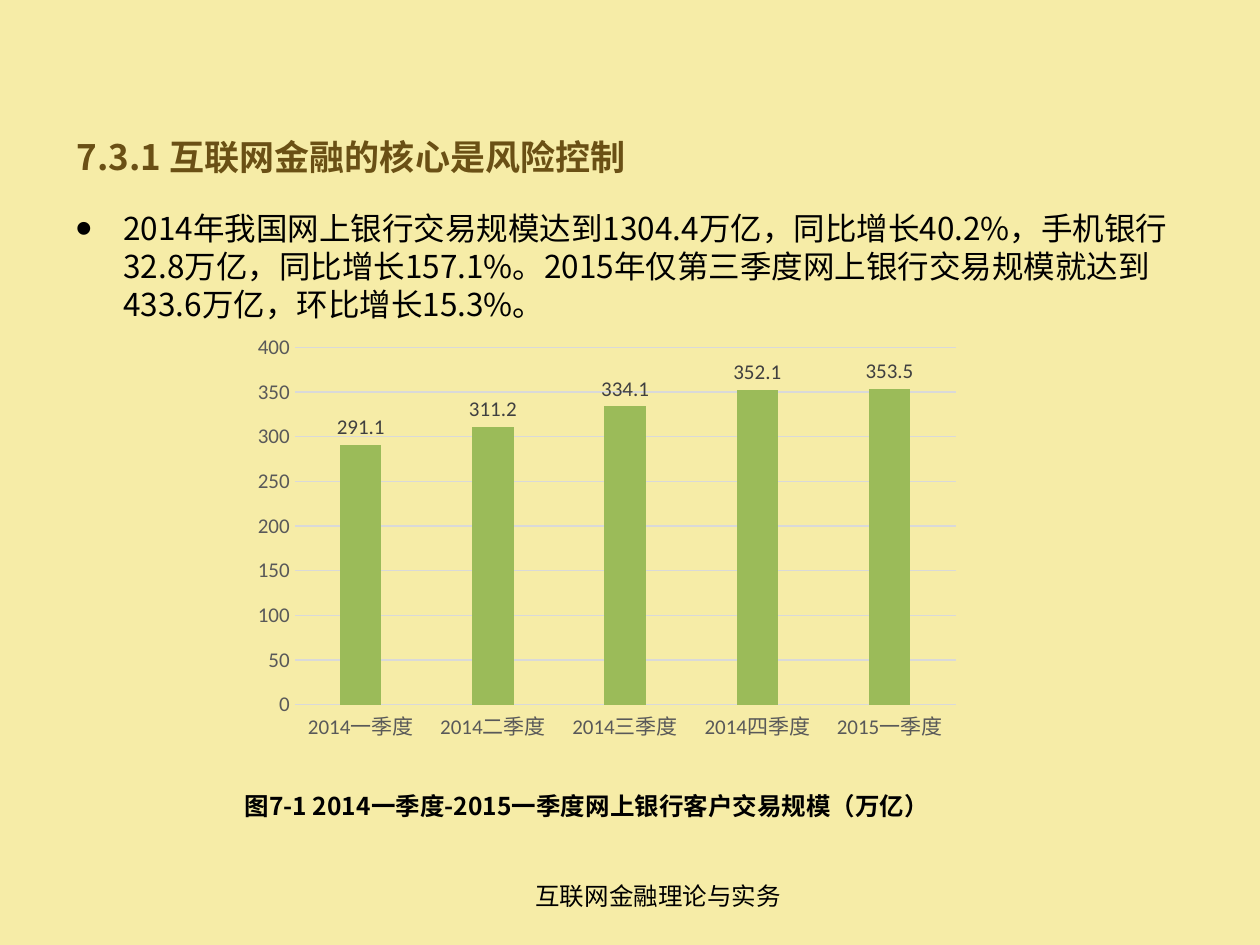
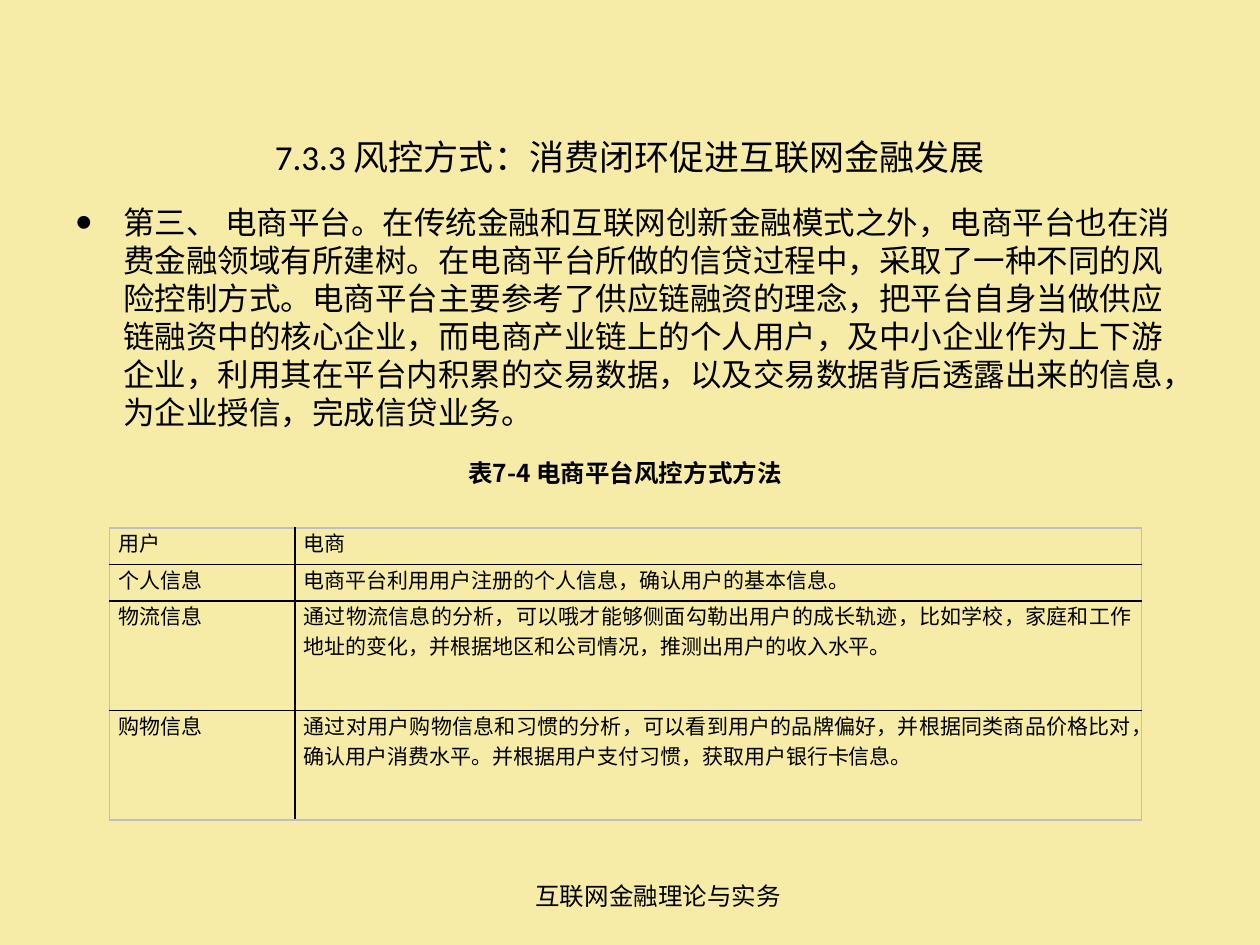
"""Build two slides on risk control in internet finance."""
import pptx
import pptx.chart.data
import pptx.dml.color
import pptx.enum.chart
import pptx.enum.text
import pptx.oxml
import pptx.oxml.ns
import pptx.util
from lxml import etree

Inches = pptx.util.Inches
Pt = pptx.util.Pt
RGBColor = pptx.dml.color.RGBColor
Align = pptx.enum.text.PP_ALIGN

CREAM = RGBColor(0xF6, 0xEC, 0xA7)
BLACK = RGBColor(0, 0, 0)
BROWN = RGBColor(0x6A, 0x50, 0x15)
GREEN = RGBColor(0x9B, 0xBB, 0x59)
GRID_GREY = RGBColor(0xD9, 0xD9, 0xD9)
AXIS_GREY = RGBColor(0x59, 0x59, 0x59)
LABEL_GREY = RGBColor(0x40, 0x40, 0x40)
EDGE_GREY = RGBColor(0xBF, 0xBF, 0xBF)
CJK_FONT = "Noto Sans CJK SC"
LATIN_FONT = "Calibri"

QUARTERS = ["2014一季度", "2014二季度", "2014三季度", "2014四季度", "2015一季度"]
VOLUMES = [291.1, 311.2, 334.1, 352.1, 353.5]
CONTROL_ROWS = [
    ("用户", "电商"),
    ("个人信息", "电商平台利用用户注册的个人信息，确认用户的基本信息。"),
    ("物流信息", "通过物流信息的分析，可以哦才能够侧面勾勒出用户的成长轨迹，比如学校，家庭和工作"
     "地址的变化，并根据地区和公司情况，推测出用户的收入水平。"),
    ("购物信息", "通过对用户购物信息和习惯的分析，可以看到用户的品牌偏好，并根据同类商品价格比对，"
     "确认用户消费水平。并根据用户支付习惯，获取用户银行卡信息。"),
]


def set_font(font, size, color=BLACK, name=CJK_FONT, bold=False):
    """Set size, colour, typeface and weight of a font."""
    font.size = Pt(size)
    font.color.rgb = color
    font.name = name
    font.bold = bold


def place(shape, left, top, width, height):
    """Move and size a shape, in inches."""
    shape.left, shape.top = Inches(left), Inches(top)
    shape.width, shape.height = Inches(width), Inches(height)


def add_caption(slide, text, left, top, width, bold=True):
    """Add a centred 14-point line of text."""
    box = slide.shapes.add_textbox(Inches(left), Inches(top), Inches(width), Inches(0.34))
    box.text_frame.word_wrap = True
    paragraph = box.text_frame.paragraphs[0]
    paragraph.text = text
    paragraph.alignment = Align.CENTER
    paragraph.line_spacing = Pt(17)
    set_font(paragraph.font, 14, bold=bold)


def add_content_slide(presentation, title, alignment, title_font, body, body_top, body_height):
    """Add a slide with a title, one bulleted paragraph and the footer."""
    slide = presentation.slides.add_slide(presentation.slide_layouts[1])
    heading = slide.shapes.title
    place(heading, 0.51, 0.85, 8.98, 0.79)
    heading.text_frame.auto_size = pptx.enum.text.MSO_AUTO_SIZE.NONE
    heading.text_frame.vertical_anchor = pptx.enum.text.MSO_ANCHOR.MIDDLE
    paragraph = heading.text_frame.paragraphs[0]
    paragraph.text = title
    paragraph.alignment = alignment
    set_font(paragraph.font, 20, **title_font)

    content = slide.placeholders[1]
    place(content, 0.5, body_top, 9, body_height)
    content.text_frame.auto_size = pptx.enum.text.MSO_AUTO_SIZE.NONE
    paragraph = content.text_frame.paragraphs[0]
    paragraph.text = body
    add_bullet(paragraph)
    paragraph.space_before = Pt(0)
    paragraph.line_spacing = Pt(21.7)
    set_font(paragraph.font, 18)

    add_caption(slide, "互联网金融理论与实务", 3.06, 6.94, 4.33, bold=False)
    return slide


def add_bullet(paragraph):
    """Give a paragraph a large round bullet and a hanging indent."""
    properties = paragraph._p.get_or_add_pPr()
    properties.set("marL", str(Inches(0.38)))
    properties.set("indent", str(-Inches(0.38)))
    for tag, key, value in (("a:buSzPct", "val", "150000"),
                            ("a:buFont", "typeface", "Arial"),
                            ("a:buChar", "char", "•")):
        etree.SubElement(properties, pptx.oxml.ns.qn(tag)).set(key, value)


def add_volume_chart(slide):
    """Add the column chart of quarterly transaction volume."""
    data = pptx.chart.data.CategoryChartData()
    data.categories = QUARTERS
    data.add_series("Series 1", VOLUMES)
    chart = slide.shapes.add_chart(
        pptx.enum.chart.XL_CHART_TYPE.COLUMN_CLUSTERED,
        Inches(1.93), Inches(2.59), Inches(5.77), Inches(3.36), data).chart
    chart.has_legend = False
    chart.has_title = False
    set_font(chart.font, 10, name=LATIN_FONT)

    for axis in (chart.category_axis, chart.value_axis):
        axis.major_tick_mark = pptx.enum.chart.XL_TICK_MARK.NONE
        set_font(axis.tick_labels.font, 12, AXIS_GREY, LATIN_FONT)
    values = chart.value_axis
    values.minimum_scale, values.maximum_scale, values.major_unit = 0, 400, 50
    values.format.line.fill.background()
    for line in (chart.category_axis.format.line, values.major_gridlines.format.line):
        line.color.rgb = GRID_GREY
        line.width = Pt(0.75)

    plot = chart.plots[0]
    plot.vary_by_categories = False
    plot.gap_width, plot.overlap = 219, -27
    series = plot.series[0]
    series.format.fill.solid()
    series.format.fill.fore_color.rgb = GREEN
    labels = series.data_labels
    labels.show_value = True
    labels.position = pptx.enum.chart.XL_LABEL_POSITION.OUTSIDE_END
    set_font(labels.font, 12, LABEL_GREY, LATIN_FONT)


def set_border(cell, side, color):
    """Draw one side (L, R, T or B) of a cell in a one-point line."""
    namespace = pptx.oxml.ns.nsdecls("a")
    cell._tc.get_or_add_tcPr().append(pptx.oxml.parse_xml(
        f'<a:ln{side} {namespace} w="12700"><a:solidFill>'
        f'<a:srgbClr val="{color}"/></a:solidFill></a:ln{side}>'))


def add_control_table(slide):
    """Add the table of risk control methods."""
    table = slide.shapes.add_table(
        len(CONTROL_ROWS), 2, Inches(0.87), Inches(4.19), Inches(8.19), Inches(2.32)).table
    table.first_row = table.horz_banding = False
    for column, width in zip(table.columns, (1.47, 6.72)):
        column.width = Inches(width)
    for row, height in zip(table.rows, (0.29, 0.29, 0.87, 0.87)):
        row.height = Inches(height)
    last_row = len(CONTROL_ROWS) - 1
    for row_index, texts in enumerate(CONTROL_ROWS):
        for column_index, text in enumerate(texts):
            cell = table.cell(row_index, column_index)
            outer_sides = {"L": column_index == 0, "R": column_index == 1,
                           "T": row_index == 0, "B": row_index == last_row}
            for side, is_outer in outer_sides.items():
                set_border(cell, side, EDGE_GREY if is_outer else BLACK)
            cell.fill.background()
            cell.margin_left = cell.margin_right = Inches(0.07)
            cell.margin_top = cell.margin_bottom = 0
            paragraph = cell.text_frame.paragraphs[0]
            paragraph.text = text
            paragraph.alignment = Align.JUSTIFY
            paragraph.line_spacing = Pt(17.1)
            set_font(paragraph.font, 12, name=LATIN_FONT)


def main():
    """Build and save the presentation."""
    presentation = pptx.Presentation()
    presentation.slide_width, presentation.slide_height = Inches(10), Inches(7.5)
    background = presentation.slide_master.background.fill
    background.solid()
    background.fore_color.rgb = CREAM

    core_slide = add_content_slide(
        presentation, "7.3.1 互联网金融的核心是风险控制", Align.LEFT,
        {"color": BROWN, "bold": True},
        "2014年我国网上银行交易规模达到1304.4万亿，同比增长40.2%，手机银行32.8万亿，"
        "同比增长157.1%。2015年仅第三季度网上银行交易规模就达到433.6万亿，环比增长15.3%。",
        1.61, 1.02)
    add_volume_chart(core_slide)
    add_caption(core_slide, "图7-1 2014一季度-2015一季度网上银行客户交易规模（万亿）", 1.77, 6.23, 5.78)

    method_slide = add_content_slide(
        presentation, "7.3.3 风控方式：消费闭环促进互联网金融发展", Align.CENTER,
        {"name": LATIN_FONT},
        "第三、 电商平台。在传统金融和互联网创新金融模式之外，电商平台也在消费金融领域有所建树。"
        "在电商平台所做的信贷过程中，采取了一种不同的风险控制方式。"
        "电商平台主要参考了供应链融资的理念，把平台自身当做供应链融资中的核心企业，"
        "而电商产业链上的个人用户，及中小企业作为上下游企业，利用其在平台内积累的交易数据，"
        "以及交易数据背后透露出来的信息，为企业授信，完成信贷业务。",
        1.56, 2)
    add_caption(method_slide, "表7-4 电商平台风控方式方法", 3.37, 3.58, 3.18)
    add_control_table(method_slide)

    presentation.save("out.pptx")


if __name__ == "__main__":
    main()
